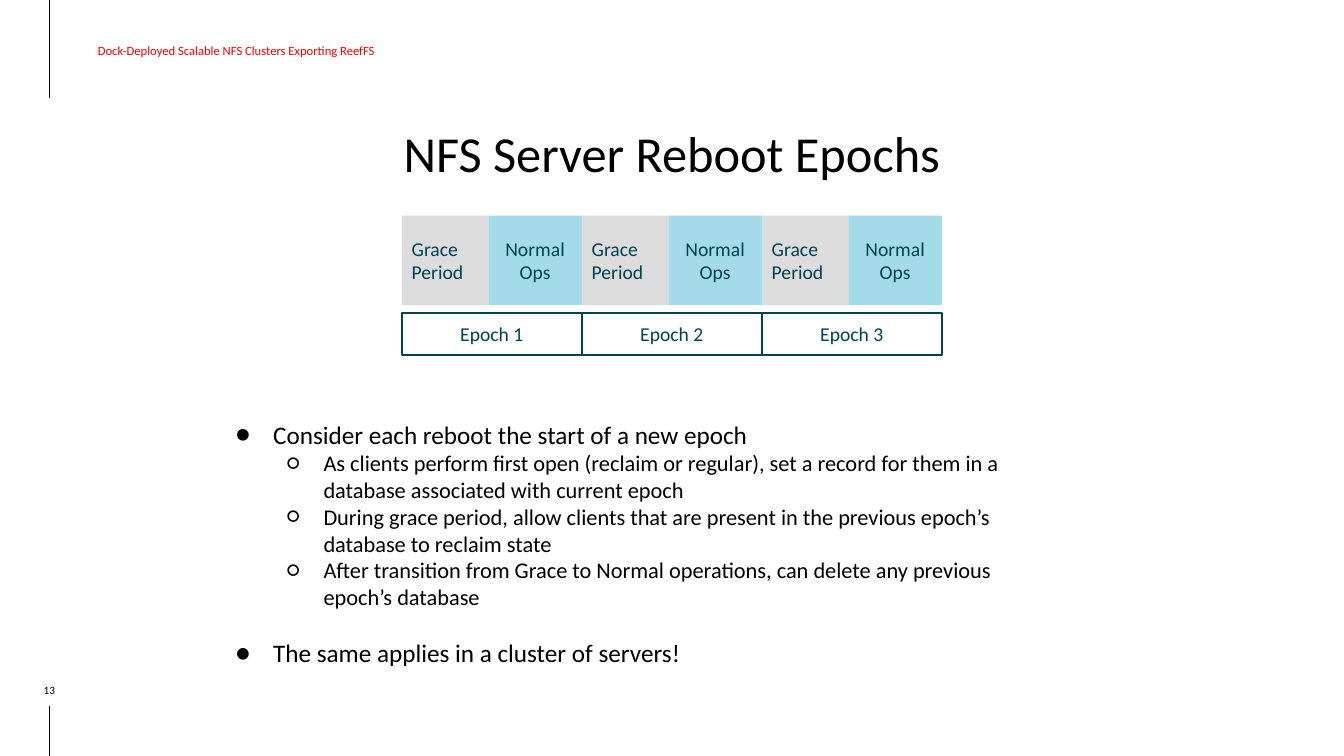
"""Build the slide on NFS server reboot epochs."""
from lxml.etree import SubElement
from pptx import Presentation
from pptx.dml.color import RGBColor
from pptx.enum.shapes import MSO_CONNECTOR as Connector, MSO_SHAPE as Shape
from pptx.enum.text import MSO_ANCHOR as Anchor, PP_ALIGN as Align
from pptx.oxml.ns import qn
from pptx.util import Pt

BLACK, RED, TEAL, GREY, AQUA = "000000", "EE0000", "004153", "DCDCDC", "A3DBE8"
TITLE = "NFS Server Reboot Epochs"
DECK = "Dock-Deployed Scalable NFS Clusters Exporting ReefFS"
PAGE = "13"
EPOCHS = ["Epoch 1", "Epoch 2", "Epoch 3"]
PHASES = [
    ("Grace Period", 61.8, GREY, Align.LEFT),
    ("Normal\nOps", 66.8, AQUA, Align.CENTER),
]
POINTS = [
    (0, "Consider each reboot the start of a new epoch", 0),
    (1, "As clients perform first open (reclaim or regular), set a record "
        "for them in a database associated with current epoch", 0),
    (1, "During grace period, allow clients that are present in the previous "
        "epoch’s database to reclaim state", 0),
    (1, "After transition from Grace to Normal operations, can delete any "
        "previous epoch’s database", 0),
    (0, "The same applies in a cluster of servers!", 19.5),
]
LEVELS = [("●", 36, -27, 18), ("○", 72, -26, 16)]
MARGIN_RULES = [(0, 69.8), (504, 540)]
MARGIN_X = 35.3
TIMELINE_X, PHASE_Y, PHASE_H, EPOCH_Y, EPOCH_H = 287, 154, 64, 223.5, 30

deck = Presentation()
deck.slide_width, deck.slide_height = Pt(960), Pt(540)
slide = deck.slides.add_slide(deck.slide_layouts[6])


def color(hex_code):
    return RGBColor.from_string(hex_code)


def write(holder, text, size, ink, align=Align.LEFT, anchor=Anchor.TOP,
          insets=(7.2, 7.2, 7.2, 7.2)):
    frame = holder.text_frame
    frame.word_wrap = True
    frame.vertical_anchor = anchor
    (frame.margin_left, frame.margin_top,
     frame.margin_right, frame.margin_bottom) = map(Pt, insets)
    frame.text = text
    for paragraph in frame.paragraphs:
        paragraph.alignment = align
        for run in paragraph.runs:
            run.font.name, run.font.size = "Calibri", Pt(size)
            run.font.color.rgb = color(ink)
    return frame.paragraphs


def add_text(box, *style, **options):
    return write(slide.shapes.add_textbox(*map(Pt, box)), *style, **options)


def add_block(box, text, align, fill=None, outline=None):
    block = slide.shapes.add_shape(Shape.RECTANGLE, *map(Pt, box))
    block.shadow.inherit = False
    if fill:
        block.fill.solid()
        block.fill.fore_color.rgb = color(fill)
    else:
        block.fill.background()
    if outline:
        block.line.color.rgb = color(outline)
        block.line.width = Pt(1.5)
    else:
        block.line.fill.background()
    write(block, text, 14, TEAL, align, Anchor.MIDDLE)


def add_bullet(paragraph, level, gap):
    mark, indent, hanging, size = LEVELS[level]
    paragraph.level = level
    paragraph.space_before = Pt(gap)
    for run in paragraph.runs:
        run.font.size = Pt(size)
    props = paragraph._p.get_or_add_pPr()
    props.set("marL", str(Pt(indent)))
    props.set("indent", str(Pt(hanging)))
    SubElement(SubElement(props, qn("a:buClr")), qn("a:srgbClr"), val=BLACK)
    SubElement(props, qn("a:buFont"), typeface="Calibri")
    SubElement(props, qn("a:buChar"), char=mark)


for top, bottom in MARGIN_RULES:
    rule = slide.shapes.add_connector(
        Connector.STRAIGHT, Pt(MARGIN_X), Pt(top), Pt(MARGIN_X), Pt(bottom))
    rule.line.color.rgb = color(BLACK)
    rule.line.width = Pt(0.75)
    SubElement(rule._element.spPr, qn("a:effectLst"))

heading = add_text((138, 74.2, 684, 44), TITLE, 36, BLACK, Align.CENTER,
                   insets=(0, 0, 0, 0))
heading[0].line_spacing = 1.3
add_text((35.3, 4.3, 405.4, 64), DECK, 9, RED, anchor=Anchor.MIDDLE,
         insets=(34.6, 7.2, 7.2, 7.2))
add_text((6.5, 486, 57.6, 11.5), PAGE, 8, BLACK, Align.CENTER, Anchor.BOTTOM,
         (0, 0, 0, 0))

epoch_width = sum(width for _, width, _, _ in PHASES)
for number, epoch in enumerate(EPOCHS):
    epoch_x = phase_x = TIMELINE_X + number * epoch_width
    for phase, width, fill, align in PHASES:
        add_block((phase_x, PHASE_Y, width, PHASE_H), phase, align, fill=fill)
        phase_x += width
    add_block((epoch_x, EPOCH_Y, epoch_width, EPOCH_H), epoch, Align.CENTER,
              outline=TEAL)

points = add_text((152, 292, 589.7, 209),
                  "\n".join(text for _, text, _ in POINTS), 18, BLACK)
for point, (level, _, gap) in zip(points, POINTS):
    add_bullet(point, level, gap)

deck.save("out.pptx")
